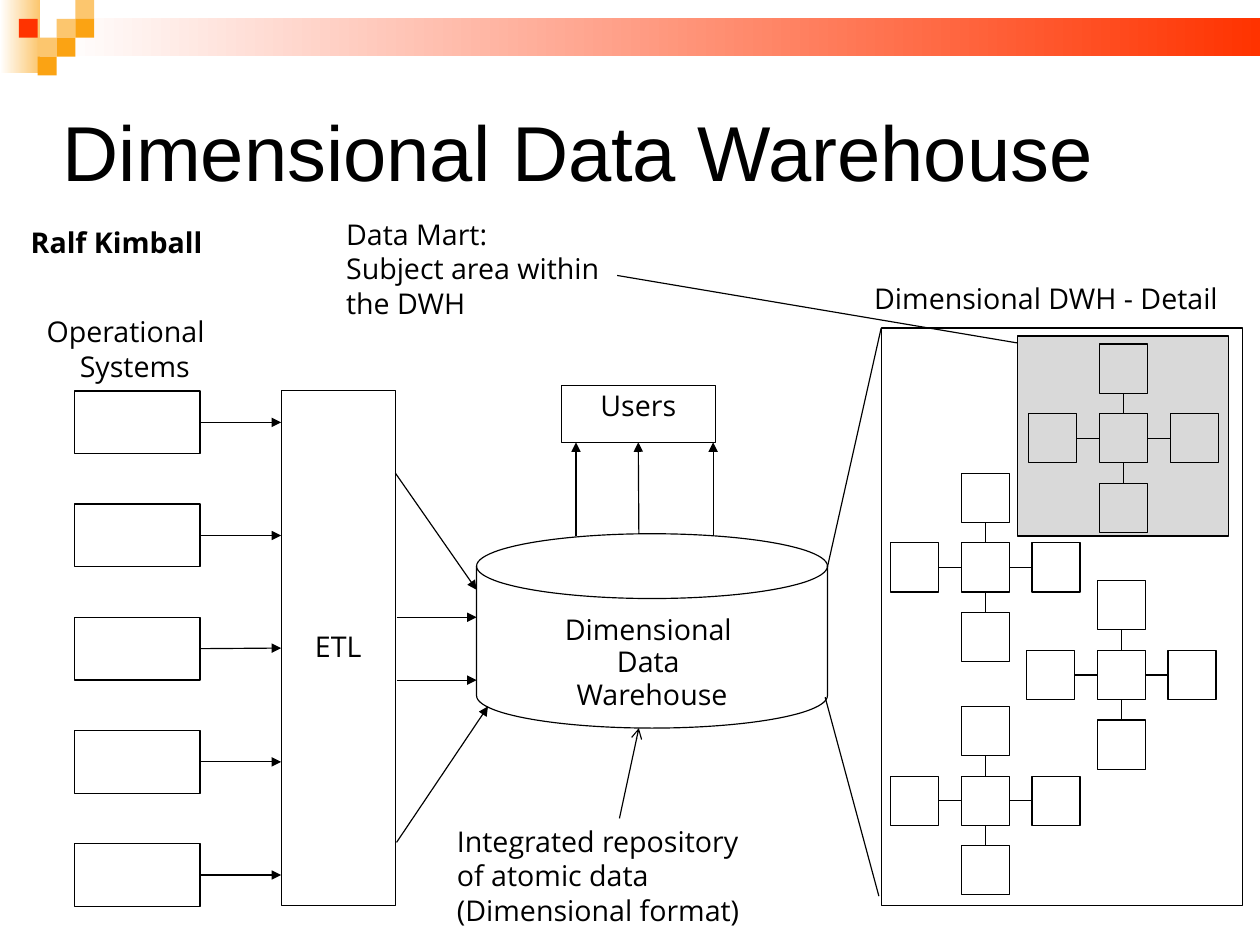
from lxml import etree
from pptx import Presentation
from pptx.dml.color import RGBColor
from pptx.enum.shapes import MSO_CONNECTOR, MSO_SHAPE
from pptx.enum.text import MSO_ANCHOR, PP_ALIGN
from pptx.oxml.ns import qn
from pptx.util import Inches, Pt

RECT = MSO_SHAPE.RECTANGLE
DISK = MSO_SHAPE.FLOWCHART_MAGNETIC_DISK
STRAIGHT = MSO_CONNECTOR.STRAIGHT
LEFT, CENTER = PP_ALIGN.LEFT, PP_ALIGN.CENTER
TOP, MIDDLE = MSO_ANCHOR.TOP, MSO_ANCHOR.MIDDLE
SIDE_TOP, SIDE_LEFT, SIDE_BOTTOM, SIDE_RIGHT = range(4)

COLORS = {
    "ink": "000000",
    "paper": "FFFFFF",
    "mart": "D9D9D9",
    "red": "FF3300",
    "orange": "FBA313",
    "peach": "FCC66E",
}
BODY_FONT = {"name": "Open Sans", "size": Pt(18), "bold": False}
BOLD_FONT = {**BODY_FONT, "bold": True}
TITLE_FONT = {"name": "Arial", "size": Pt(49), "bold": False}


def rgb(color):
    return RGBColor.from_string(COLORS[color])


def write(holder, lines, font=BODY_FONT, aligns=(LEFT,), anchor=TOP,
          spacing=None, inset_x=0.1, inset_top=0.05, inset_bottom=0.05):
    frame = holder.text_frame
    layout = {
        "word_wrap": True,
        "vertical_anchor": anchor,
        "margin_left": Inches(inset_x),
        "margin_right": Inches(inset_x),
        "margin_top": Inches(inset_top),
        "margin_bottom": Inches(inset_bottom),
    }
    for key, value in layout.items():
        setattr(frame, key, value)
    for index, line in enumerate(lines):
        paragraph = frame.add_paragraph() if index else frame.paragraphs[0]
        paragraph.text = line
        paragraph.alignment = aligns[index % len(aligns)]
        if spacing:
            paragraph.line_spacing = spacing
        for run in paragraph.runs:
            for key, value in font.items():
                setattr(run.font, key, value)
            run.font.color.rgb = rgb("ink")


def add_label(slide, at, lines, **style):
    write(slide.shapes.add_textbox(*map(Inches, at)), lines, **style)


def add_box(slide, at, fill=None, outlined=True, kind=RECT):
    box = slide.shapes.add_shape(kind, *map(Inches, at))
    box.shadow.inherit = False
    if fill:
        box.fill.solid()
        box.fill.fore_color.rgb = rgb(fill)
    else:
        box.fill.background()
    if outlined:
        box.line.color.rgb = rgb("ink")
        box.line.width = Pt(0.75)
    else:
        box.line.fill.background()
    return box


def add_fade(slide, at, color):
    band = add_box(slide, at, outlined=False)
    band.fill.gradient()
    band.fill.gradient_angle = 180
    for stop, shade in zip(band.fill.gradient_stops, (color, "paper")):
        stop.color.rgb = rgb(shade)


def add_link(slide, start, end, head=None, source=None, target=None):
    link = slide.shapes.add_connector(STRAIGHT, *map(Inches, start + end))
    link.line.color.rgb = rgb("ink")
    link.line.width = Pt(0.75)
    properties = link.element.spPr
    if head:
        etree.SubElement(properties.find(qn("a:ln")), qn("a:tailEnd"), type=head)
    etree.SubElement(properties, qn("a:effectLst"))
    if source:
        link.begin_connect(*source)
    if target:
        link.end_connect(*target)


def add_star(slide, left, top):
    width, height, step_x, step_y = 0.42, 0.43, 0.62, 0.61
    fact = add_box(slide, (left, top, width, height))
    arms = (
        (0, -1, SIDE_TOP, SIDE_BOTTOM),
        (-1, 0, SIDE_LEFT, SIDE_RIGHT),
        (1, 0, SIDE_RIGHT, SIDE_LEFT),
        (0, 1, SIDE_BOTTOM, SIDE_TOP),
    )
    for dx, dy, fact_side, dimension_side in arms:
        corner = (left + dx * step_x, top + dy * step_y)
        dimension = add_box(slide, corner + (width, height))
        add_link(slide, (left, top), corner,
                 source=(fact, fact_side), target=(dimension, dimension_side))


def add_header(slide):
    add_fade(slide, (0, 0, 0.35, 0.64), "peach")
    add_fade(slide, (0.5, 0.16, 10.53, 0.33), "red")
    tile = 0.165
    mosaic = (
        (3, 1, "peach"), (4, 0, "peach"), (4, 1, "orange"), (2, 2, "peach"),
        (1, 1, "red"), (3, 2, "orange"), (2, 3, "orange"),
    )
    for column, row, color in mosaic:
        add_box(slide, (column * tile, row * tile, tile, tile), color, outlined=False)
    add_label(slide, (0.55, 0.55, 9.92, 1.65), ["Dimensional Data Warehouse"],
              font=TITLE_FONT, anchor=MIDDLE, spacing=0.87,
              inset_x=0, inset_top=0, inset_bottom=0)


def add_sources(slide):
    add_label(slide, (0.17, 1.92, 1.81, 0.7), ["Ralf Kimball"], font=BOLD_FONT)
    add_label(slide, (0.31, 2.7, 1.74, 0.7), ["Operational", "Systems"],
              aligns=(LEFT, CENTER))
    etl = add_box(slide, (2.46, 3.42, 1, 4.5))
    write(etl, ["ETL"], aligns=(CENTER,), anchor=MIDDLE, spacing=0.94)
    for index in range(5):
        top = 3.42 + index * 0.99
        system = add_box(slide, (0.65, top, 1.1, 0.55))
        middle = top + 0.275
        target = (etl, SIDE_LEFT) if index == 2 else None
        add_link(slide, (1.75, middle), (2.46, middle), "triangle",
                 source=(system, SIDE_RIGHT), target=target)


def add_warehouse(slide):
    warehouse = add_box(slide, (4.17, 4.67, 3.07, 1.7), kind=DISK)
    write(warehouse, ["Dimensional ", "Data ", "Warehouse"], aligns=(CENTER,),
          anchor=MIDDLE, spacing=0.94, inset_top=0.33)
    loads = (
        ((3.46, 4.14), (4.17, 5.16)),
        ((3.47, 5.4), (4.17, 5.4)),
        ((3.47, 5.95), (4.17, 5.95)),
        ((3.47, 7.37), (4.27, 6.18)),
    )
    for start, end in loads:
        add_link(slide, start, end, "triangle")
    users = add_box(slide, (4.91, 3.37, 1.35, 0.5))
    write(users, ["Users"], aligns=(CENTER,), spacing=0.94)
    for x, bottom, target in ((5.04, 4.69, None), (5.59, 4.67, (users, SIDE_BOTTOM)),
                              (6.24, 4.69, None)):
        add_link(slide, (x, bottom), (x, 3.87), "triangle", target=target)
    add_label(slide, (3.9, 7.16, 2.86, 1),
              ["Integrated repository\nof atomic data", "(Dimensional format)"])
    add_link(slide, (5.42, 7.16), (5.59, 6.37), "arrow")


def add_detail(slide):
    add_box(slide, (8.9, 2.94, 1.85, 1.75), "mart")
    add_box(slide, (7.71, 2.87, 3.16, 5.05))
    add_link(slide, (7.24, 4.96), (7.71, 2.87))
    add_link(slide, (7.22, 6.1), (7.69, 7.84))
    add_label(slide, (7.55, 2.41, 3.45, 0.4), ["Dimensional DWH - Detail"])
    for left, top in ((9.62, 3.62), (9.6, 5.69), (8.41, 4.75), (8.41, 6.79)):
        add_star(slide, left, top)
    add_link(slide, (8.9, 3), (5.4, 2.41))
    add_label(slide, (2.93, 1.85, 2.61, 1),
              ["Data Mart:\nSubject area within", "the DWH"])


def main():
    deck = Presentation()
    deck.slide_width, deck.slide_height = Pt(793.75), Pt(595.25)
    slide = deck.slides.add_slide(deck.slide_layouts[6])
    for build in (add_header, add_sources, add_warehouse, add_detail):
        build(slide)
    deck.save("out.pptx")


if __name__ == "__main__":
    main()
